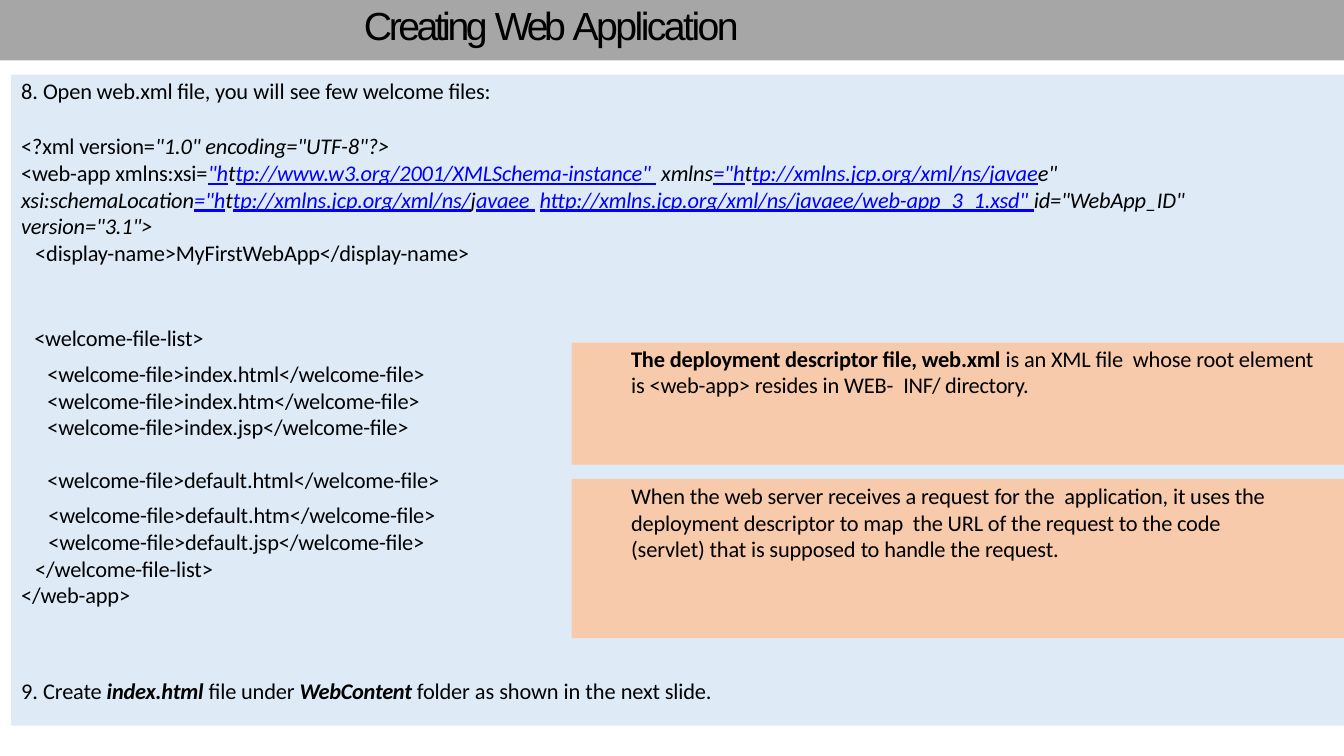
from pptx import Presentation
from pptx.dml.color import RGBColor
from pptx.enum.shapes import MSO_SHAPE as Shape
from pptx.util import Inches, Pt

BLACK = RGBColor(0, 0, 0)
LINK_BLUE = RGBColor(0, 0, 0xFF)
PALE_BLUE = RGBColor(0xDE, 0xEB, 0xF7)
GREY = RGBColor(0xA6, 0xA6, 0xA6)
PEACH = RGBColor(0xF8, 0xCA, 0xAC)

# Bands behind the text: left, top, width, height, colour
BANDS = [
    (0.11, 0.74, 13.22, 6.46, PALE_BLUE),
    (0, 0, 13.33, 0.6, GREY),
    (5.67, 4.75, 7.66, 1.58, PEACH),
    (5.67, 3.4, 7.66, 1.21, PEACH),
]

# A run is (text, style, letter spacing in points)
# Styles: b bold, i italic, u blue underlined
# A paragraph is (indent in inches, space before in points, runs)
TIGHT = -0.1
TITLE = [(0.03, 1, [("Creating ", "", -2.5), ("Web ", "", -3.1),
                    ("Application", "", -1.8)])]

SCHEMA_RUNS = [
    ("<web-app xmlns:xsi=", "", TIGHT),
    ('"h', "iu", TIGHT), ("t", "i", TIGHT),
    ('tp://www.w3.org/2001/XMLSchema-instance" ', "iu", TIGHT),
    (" xmlns", "i", TIGHT),
    ('="h', "iu", TIGHT), ("t", "i", TIGHT),
    ("tp://xmlns.jcp.org/xml/ns/javae", "iu", TIGHT),
    ('e" xsi:schemaLocation', "i", TIGHT),
    ('="h', "iu", TIGHT), ("t", "i", TIGHT),
    ("tp://xmlns.jcp.org/xml/ns/", "iu", TIGHT),
    ("j", "i", TIGHT), ("avaee ", "iu", TIGHT), (" ", "i", TIGHT),
    ('http://xmlns.jcp.org/xml/ns/javaee/web-app_3_1.xsd" ', "iu", TIGHT),
    ('id="WebApp_ID" version="3.1">', "i", TIGHT),
]
STEP_8 = [
    (0.01, 1, [("8. ", "", 0), ("Open web.xml file, you ", "", TIGHT),
               ("will ", "", 0), ("see ", "", TIGHT), ("few ", "", -0.2),
               ("welcome files:", "", TIGHT)]),
    (0.01, 19.6, [("<?xml version=", "", TIGHT),
                  ('"1.0" encoding="UTF-8"?>', "i", TIGHT)]),
    (0.01, 0.1, SCHEMA_RUNS),
    (0.15, 0, [("<display-name>MyFirstWebApp</display-name>", "", TIGHT)]),
]
STEP_9 = [(0.01, 1, [
    ("9. ", "", 0), ("Create ", "", TIGHT), ("index.html ", "bi", TIGHT),
    ("file under ", "", TIGHT), ("WebContent ", "bi", -0.2),
    ("folder ", "", TIGHT), ("as ", "", 0), ("shown ", "", TIGHT),
    ("in the ", "", 0), ("next slide.", "", TIGHT)])]

REQUEST_NOTE = [
    (0.01, 0.9, [
        ("When the web server receives a request ", "", TIGHT),
        ("for ", "", -0.2),
        ("the  application, it uses the deployment descriptor ", "", TIGHT),
        ("to ", "", -0.2),
        ("map  the URL of the request to the code", "", TIGHT)]),
    (0.01, 0, [("(servlet) that is supposed ", "", TIGHT), ("to ", "", -0.2),
               ("handle the request.", "", TIGHT)]),
]
DESCRIPTOR_NOTE = [(0.01, 0.9, [
    ("The deployment descriptor file, web.xml ", "b", TIGHT),
    ("is an XML file  whose root element is <web-app> resides in WEB-  ",
     "", TIGHT),
    ("INF/ directory.", "", -0.2)])]


def code_lines(*lines):
    """Plain code paragraphs from (indent, text) pairs."""
    return [(indent, 0 if number else 1, [(text, "", TIGHT)])
            for number, (indent, text) in enumerate(lines)]


def welcome(file_name):
    return f"<welcome-file>{file_name}</welcome-file>"


LIST_START = code_lines((0.01, "<welcome-file-list>"))
INDEX_FILES = code_lines(*((0.01, welcome(f"index.{ext}"))
                           for ext in ("html", "htm", "jsp")))
DEFAULT_HTML = code_lines((0.01, welcome("default.html")))
LIST_END = code_lines(
    (0.28, welcome("default.htm")), (0.28, welcome("default.jsp")),
    (0.15, "</welcome-file-list>"), (0.01, "</web-app>"))

# Text blocks: left, top, width, height, paragraphs, font, size
TEXTS = [
    (3.58, 0, 5.89, 0.49, TITLE, "Arial", 28),
    (0.2, 0.76, 12.06, 1.9, STEP_8, "Calibri", 16),
    (0.33, 3.21, 2.28, 0.28, LIST_START, "Calibri", 16),
    (0.46, 3.56, 5.04, 0.82, INDEX_FILES, "Calibri", 16),
    (0.46, 4.61, 5.24, 0.28, DEFAULT_HTML, "Calibri", 16),
    (0.2, 4.96, 5.43, 1.09, LIST_END, "Calibri", 16),
    (0.2, 6.71, 9.25, 0.28, STEP_9, "Calibri", 16),
    (6.25, 4.77, 6.66, 1.09, REQUEST_NOTE, "Calibri", 16),
    (6.25, 3.41, 6.87, 0.55, DESCRIPTOR_NOTE, "Calibri", 16),
]


def add_band(slide, left, top, width, height, colour):
    band = slide.shapes.add_shape(Shape.RECTANGLE, Inches(left), Inches(top),
                                  Inches(width), Inches(height))
    band.shadow.inherit = False
    band.fill.solid()
    band.fill.fore_color.rgb = colour
    band.line.fill.background()


def add_text(slide, left, top, width, height, paragraphs, face, size):
    frame = slide.shapes.add_textbox(Inches(left), Inches(top), Inches(width),
                                     Inches(height)).text_frame
    frame.word_wrap = True
    frame.margin_left = frame.margin_right = frame.margin_bottom = 0
    frame.margin_top = Inches(0.01)
    for number, (indent, before, runs) in enumerate(paragraphs):
        paragraph = frame.add_paragraph() if number else frame.paragraphs[0]
        paragraph.space_before = Pt(before)
        properties = paragraph._p.get_or_add_pPr()
        properties.set("marL", str(Inches(indent)))
        properties.set("indent", "0")
        for text, style, spacing in runs:
            run = paragraph.add_run()
            run.text = text
            font = run.font
            font.name, font.size = face, Pt(size)
            font.bold, font.italic = "b" in style, "i" in style
            font.underline = "u" in style
            font.color.rgb = LINK_BLUE if "u" in style else BLACK
            # Letter spacing is stored in hundredths of a point
            run._r.get_or_add_rPr().set("spc", str(round(spacing * 100)))


def main():
    deck = Presentation()
    deck.slide_width, deck.slide_height = Inches(13.33), Inches(7.5)
    slide = deck.slides.add_slide(deck.slide_layouts[6])
    for band in BANDS:
        add_band(slide, *band)
    for block in TEXTS:
        add_text(slide, *block)
    deck.save("out.pptx")


if __name__ == "__main__":
    main()
